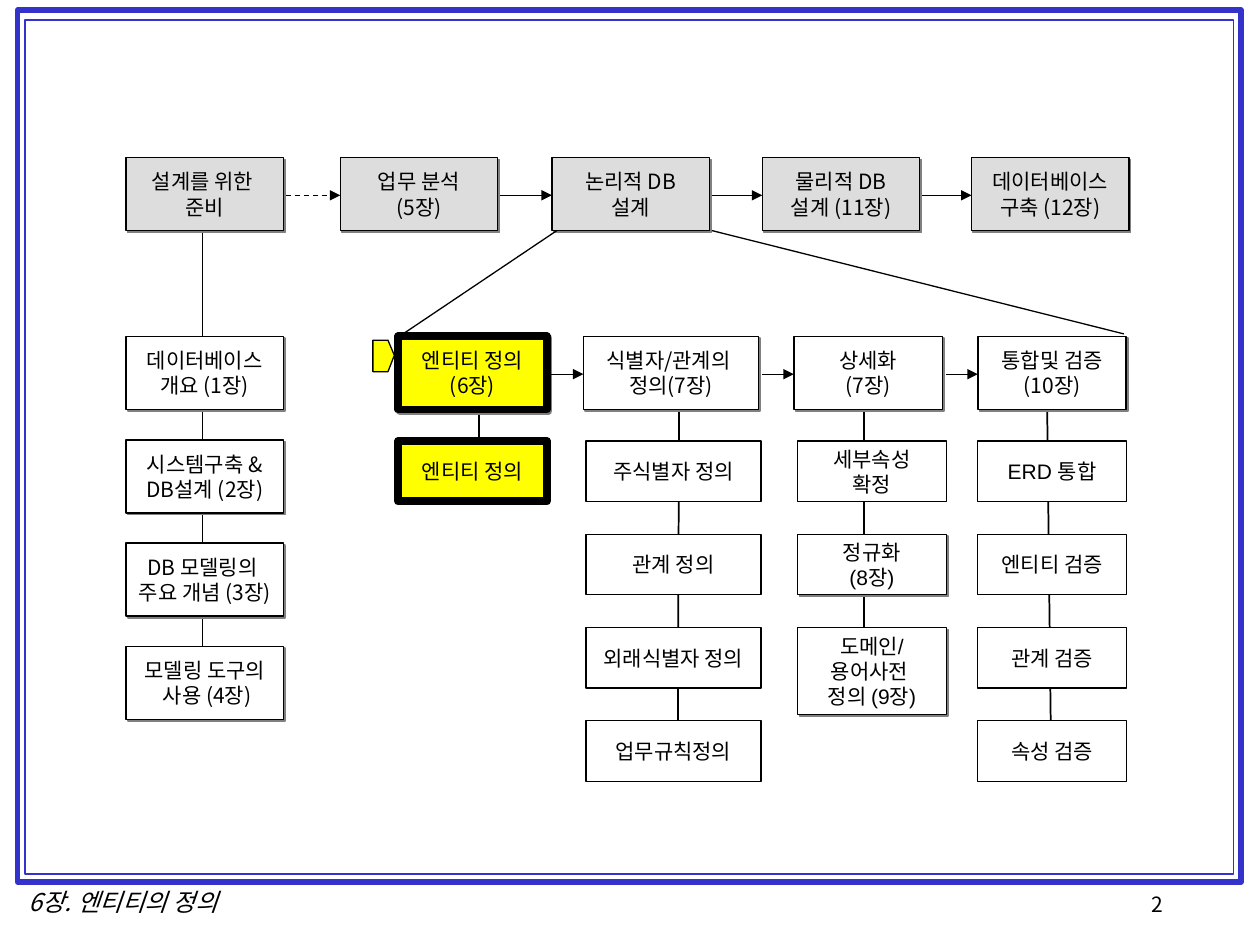
from dataclasses import dataclass
from itertools import pairwise

from lxml.etree import SubElement
from pptx import Presentation
from pptx.dml.color import RGBColor
from pptx.enum.dml import MSO_LINE
from pptx.enum.shapes import MSO_CONNECTOR as Connector, MSO_SHAPE as Shape
from pptx.enum.text import MSO_ANCHOR as Anchor, PP_ALIGN as Align
from pptx.oxml.ns import qn
from pptx.util import Inches, Pt


@dataclass(frozen=True)
class Theme:
    ink: str = "000000"
    frame: str = "3333CC"
    stage: str = "DDDDDD"
    plain: str = "FFFFFF"
    current: str = "FFFF00"
    shadow: str = "808080"
    korean: str = "Noto Sans CJK KR"
    latin: str = "Arial"
    body: int = 12
    footer: int = 14
    thin: float = 0.75
    medium: float = 1
    thick: float = 4.5


theme = Theme()

FRAMES = [(0.14, 0.08, 9.71, 6.92, 3), (0.2, 0.16, 9.59, 6.78, 1)]
STAGES = [
    (1, "설계를 위한 \n준비"),
    (2.7, "업무 분석\n(5장)"),
    (4.38, "논리적 DB\n설계"),
    (6.05, "물리적 DB\n설계 (11장)"),
    (7.71, "데이터베이스\n구축 (12장)"),
]
PREPARATION = [
    "데이터베이스\n개요 (1장)",
    "시스템구축 &\nDB설계 (2장)",
    "DB 모델링의 \n주요 개념 (3장)",
    "모델링 도구의\n 사용 (4장)",
]
STEPS = [
    dict(left=3.16, task_left=3.16, width=1.18, head="엔티티 정의\n(6장)",
         tasks=["엔티티 정의"], stem=(3.8, 3.8, 3.55), current=True),
    dict(left=4.63, task_left=4.65, width=1.39, head="식별자/관계의 \n정의(7장)",
         tasks=["주식별자 정의", "관계 정의", "외래식별자 정의", "업무규칙정의"],
         stem=(5.39, 5.38, 5.75)),
    dict(left=6.3, task_left=6.33, width=1.18, head="상세화\n(7장)",
         tasks=["세부속성\n확정", "정규화\n(8장)", "도메인/\n용어사전 \n정의 (9장)"],
         stem=(6.86, 6.86, 5.03)),
    dict(left=7.76, task_left=7.76, width=1.18, head="통합및 검증\n(10장)",
         tasks=["ERD 통합", "엔티티 검증", "관계 검증", "속성 검증"],
         stem=(8.31, 8.34, 5.8)),
]
STAGE_TOP, STAGE_WIDTH, HEAD_HEIGHT = 1.25, 1.25, 0.58
STAGE_BOTTOM = STAGE_TOP + HEAD_HEIGHT
HEAD_TOP, PREPARATION_PITCH = 2.67, 0.82
TASK_TOP, TASK_PITCH, TASK_HEIGHT, TALL_TASK = 3.5, 0.74, 0.48, 0.69
STAGE_ARROW_Y, STEP_ARROW_Y = 1.55, 2.97
MARKER = [(2.96, 2.7), (3.08, 2.7), (3.13, 2.82), (3.08, 2.95), (2.96, 2.95)]


def rgb(value):
    return RGBColor.from_string(value)


def paint(shape, fill, line, weight):
    shape.shadow.inherit = False
    if fill:
        shape.fill.solid()
        shape.fill.fore_color.rgb = rgb(fill)
    else:
        shape.fill.background()
    shape.line.color.rgb = rgb(line)
    shape.line.width = Pt(weight)


def drop_shadow(shape):
    effects = shape._element.spPr.find(qn("a:effectLst"))
    outer = SubElement(effects, qn("a:outerShdw"), blurRad="0",
                       dist=str(Pt(1.4)), dir="2700000", algn="ctr", rotWithShape="0")
    SubElement(outer, qn("a:srgbClr"), val=theme.shadow)


def write(shape, text, font, size, align, italic=False):
    frame = shape.text_frame
    frame.text = text
    frame.word_wrap = False
    for para in frame.paragraphs:
        para.alignment = align
        for span in para.runs:
            span.font.size = Pt(size)
            span.font.name = font
            span.font.italic = italic
            span.font.color.rgb = rgb(theme.ink)
            SubElement(span.font._element, qn("a:ea"), typeface=theme.korean)


def add_box(slide, left, top, width, height, text, fill, weight, font, shadow):
    box = slide.shapes.add_shape(Shape.RECTANGLE, *map(Inches, (left, top, width, height)))
    paint(box, fill, theme.ink, weight)
    if shadow:
        drop_shadow(box)
    write(box, text, font, theme.body, Align.CENTER)
    box.text_frame.vertical_anchor = Anchor.MIDDLE


def add_line(slide, start, end, weight=theme.thin, arrow=False, dashed=False):
    line = slide.shapes.add_connector(Connector.STRAIGHT, *map(Inches, (*start, *end)))
    line.line.color.rgb = rgb(theme.ink)
    line.line.width = Pt(weight)
    if dashed:
        line.line.dash_style = MSO_LINE.DASH
    if arrow:
        SubElement(line.line._get_or_add_ln(), qn("a:tailEnd"), type="triangle")
    SubElement(line._element.spPr, qn("a:effectLst"))


def add_label(slide, left, top, width, height, text, size, align, italic=False):
    label = slide.shapes.add_textbox(*map(Inches, (left, top, width, height)))
    write(label, text, theme.korean, size, align, italic)


def add_frame(slide):
    for *place, weight in FRAMES:
        border = slide.shapes.add_shape(Shape.RECTANGLE, *map(Inches, place))
        paint(border, None, theme.frame, weight)
    add_label(slide, 9.04, 7.03, 1.02, 0.33, "2", theme.body, Align.LEFT)
    add_label(slide, 0.05, 6.99, 1.86, 0.34, "6장. 엔티티의 정의", theme.footer,
              Align.CENTER, italic=True)


def add_stages(slide):
    for left, text in STAGES:
        add_box(slide, left, STAGE_TOP, STAGE_WIDTH, HEAD_HEIGHT, text,
                theme.stage, theme.thin, theme.korean, True)
    for index, ((left, _), (following, _)) in enumerate(pairwise(STAGES)):
        add_line(slide, (left + STAGE_WIDTH + 0.02, STAGE_ARROW_Y),
                 (following, STAGE_ARROW_Y), arrow=True, dashed=index == 0)


def add_preparation(slide):
    add_line(slide, (1.61, STAGE_BOTTOM), (1.61, 5.17))
    for row, text in enumerate(PREPARATION):
        add_box(slide, STAGES[0][0], HEAD_TOP + row * PREPARATION_PITCH, STAGE_WIDTH,
                HEAD_HEIGHT, text, theme.plain, theme.medium, theme.korean, True)


def add_step(slide, step):
    current = step.get("current", False)
    fill = theme.current if current else theme.plain
    head_weight = theme.thick if current else theme.medium
    task_weight = theme.thick if current else theme.thin
    start_x, end_x, end_y = step["stem"]
    add_line(slide, (start_x, 3.14), (end_x, end_y), theme.medium)
    add_box(slide, step["left"], HEAD_TOP, step["width"], HEAD_HEIGHT, step["head"],
            fill, head_weight, theme.korean, True)
    for row, text in enumerate(step["tasks"]):
        height = TALL_TASK if text.count("\n") > 1 else TASK_HEIGHT
        add_box(slide, step["task_left"], TASK_TOP + row * TASK_PITCH, step["width"],
                height, text, fill, task_weight, theme.latin, "장" in text)


def add_steps(slide):
    for step in STEPS:
        add_step(slide, step)
    for step, following in pairwise(STEPS):
        add_line(slide, (step["left"] + step["width"] + 0.03, STEP_ARROW_Y),
                 (following["left"], STEP_ARROW_Y), arrow=True)
    add_line(slide, (4.42, STAGE_BOTTOM), (3.17, HEAD_TOP))
    add_line(slide, (5.65, STAGE_BOTTOM), (8.92, 2.65))


def add_marker(slide):
    points = [(Inches(x), Inches(y)) for x, y in MARKER]
    builder = slide.shapes.build_freeform(*points[0])
    builder.add_line_segments(points[1:], close=True)
    paint(builder.convert_to_shape(), theme.current, theme.ink, theme.thin)


def main():
    deck = Presentation()
    deck.slide_width, deck.slide_height = Inches(10), Inches(7.5)
    slide = deck.slides.add_slide(deck.slide_layouts[6])
    for add_part in (add_frame, add_preparation, add_stages, add_steps, add_marker):
        add_part(slide)
    deck.save("out.pptx")


if __name__ == "__main__":
    main()
